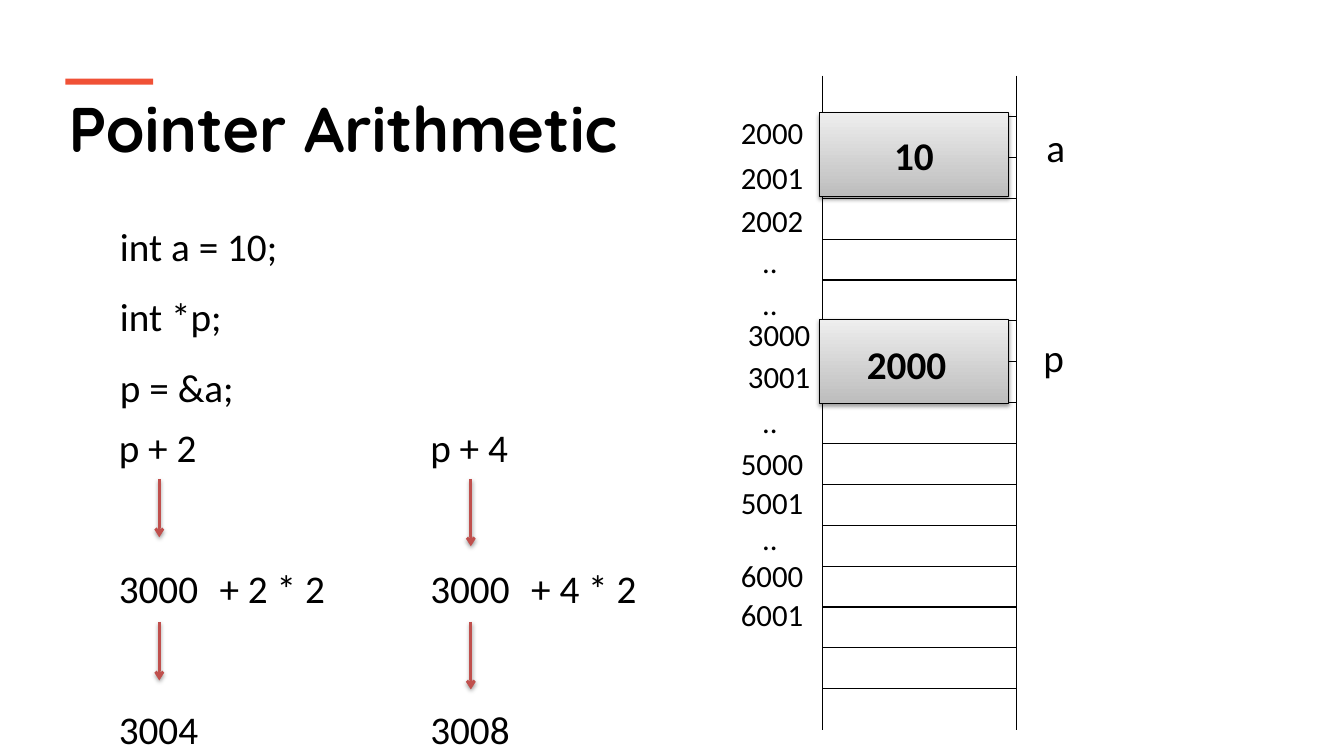
import pptx
import pptx.dml.color
import pptx.enum.shapes
import pptx.enum.text
import pptx.oxml
import pptx.oxml.ns
import pptx.util
from lxml import etree
from pptx.util import Inches

COLORS = {
    "black": "000000",
    "accent": "F05136",
    "arrow": "C0504D",
    "box_dark": "BDBDBD",
    "box_light": "EEEEEE",
}
NO_STYLE = "{2D5ABB26-0587-4C30-8999-92F81FD0307C}"
ROWS, COLUMNS = 16, 9
ADDRESSES = [
    ("2000", 1.08, 0), ("2001", 1.53, 0), ("2002", 1.95, 0),
    ("..", 2.36, 0.21), ("..", 2.78, 0.21),
    ("3000", 3.08, 0.07), ("3001", 3.5, 0.07), ("..", 3.95, 0.21),
    ("5000", 4.36, 0), ("5001", 4.75, 0), ("..", 5.11, 0.21),
    ("6000", 5.47, 0), ("6001", 5.86, 0),
]


def color(name):
    """Return the named colour."""
    return pptx.dml.color.RGBColor.from_string(COLORS[name])


def add_element(parent, tag, **attributes):
    """Append a DrawingML element and return it."""
    element = etree.SubElement(parent, pptx.oxml.ns.qn(tag))
    for key, value in attributes.items():
        element.set(key, str(value))
    return element


def add_shadow(effects):
    """Put a soft shadow below the object into an effect list."""
    shadow = add_element(effects, "a:outerShdw", blurRad=39370, dist=20000,
                         dir=5400000, rotWithShape=0)
    black = add_element(shadow, "a:srgbClr", val=COLORS["black"])
    add_element(black, "a:alpha", val=38000)


def format_runs(paragraph, size, bold=False, font="Calibri"):
    """Format every run of a paragraph."""
    for run in paragraph.runs:
        run.font.size = pptx.util.Pt(size)
        run.font.bold = bold
        run.font.name = font
        run.font.color.rgb = color("black")


def format_lines(text_frame, gap=0):
    """Set justified, widely spaced lines without bullets."""
    for index, paragraph in enumerate(text_frame.paragraphs):
        properties = paragraph._p.get_or_add_pPr()
        properties.set("marL", "0")
        properties.set("indent", "0")
        add_element(properties, "a:buNone")
        tabs = add_element(properties, "a:tabLst")
        add_element(tabs, "a:tab", pos=Inches(0.96), algn="l")
        paragraph.alignment = pptx.enum.text.PP_ALIGN.JUSTIFY
        paragraph.line_spacing = 1.5
        paragraph.space_before = pptx.util.Pt(gap if index else 0)
        format_runs(paragraph, 28)


def add_text(slide, text, left, top, width, height, size, bold=False, wrap=True):
    """Add a text box and return it."""
    shape = slide.shapes.add_textbox(Inches(left), Inches(top), Inches(width), Inches(height))
    shape.text_frame.word_wrap = wrap
    shape.text_frame.text = text
    format_runs(shape.text_frame.paragraphs[0], size, bold)
    return shape


def place_placeholder(shape, left, top, width, height, text):
    """Move a placeholder, fill it and anchor its text at the top."""
    shape.left, shape.top = Inches(left), Inches(top)
    shape.width, shape.height = Inches(width), Inches(height)
    frame = shape.text_frame
    frame.auto_size = pptx.enum.text.MSO_AUTO_SIZE.NONE
    frame.vertical_anchor = pptx.enum.text.MSO_ANCHOR.TOP
    frame.text = text
    return frame


def add_heading(slide, left, top):
    """Write the title with the accent bar above it."""
    frame = place_placeholder(slide.shapes.title, left, top, 12.18, 0.86, "Pointer Arithmetic")
    frame.paragraphs[0].alignment = pptx.enum.text.PP_ALIGN.LEFT
    format_runs(frame.paragraphs[0], 45, True, "Quicksand")
    bar = slide.shapes.add_shape(pptx.enum.shapes.MSO_SHAPE.RECTANGLE, Inches(left + 0.07),
                                 Inches(top - 0.06), Inches(0.87), Inches(0.06))
    bar.shadow.inherit = False
    bar.fill.solid()
    bar.fill.fore_color.rgb = color("accent")
    bar.line.fill.background()


def add_code(slide, left, top, width, height):
    """Write the declarations in the body placeholder."""
    frame = place_placeholder(slide.placeholders[1], left, top, width, height,
                              "int a = 10;\nint *p;\np = &a;")
    format_lines(frame)


def add_arrow(slide, x, top, length):
    """Draw a downward arrow."""
    arrow = slide.shapes.add_connector(pptx.enum.shapes.MSO_CONNECTOR.STRAIGHT, Inches(x),
                                       Inches(top), Inches(x), Inches(top + length))
    arrow.line.width = pptx.util.Pt(2)
    arrow.line.color.rgb = color("arrow")
    add_element(arrow.line._get_or_add_ln(), "a:tailEnd", type="arrow")
    add_shadow(add_element(arrow._element.spPr, "a:effectLst"))


def add_calculation(slide, left, top, offset, result, arrow_length):
    """Write one pointer sum in three steps joined by arrows."""
    steps = f"p + {offset}\n3000\t+ {offset} * 2\n{result}"
    shape = add_text(slide, steps, left, top, 2.67, 3.64, 28)
    format_lines(shape.text_frame, gap=50)
    for arrow_top in (0.83, 2.25):
        add_arrow(slide, left + 0.5, top + arrow_top, arrow_length)


def set_borders(cell, sides):
    """Draw the given sides of a cell as thin black lines and hide the others."""
    properties = cell._tc.get_or_add_tcPr()
    for side in "LRTB":
        line = add_element(properties, f"a:ln{side}", w=pptx.util.Pt(1))
        if side in sides:
            fill = add_element(line, "a:solidFill")
            add_element(fill, "a:srgbClr", val=COLORS["black"])
        else:
            add_element(line, "a:noFill")
    cell.fill.background()


def add_memory(slide, left, top, width, height):
    """Draw the memory column as a table open at both ends."""
    table = slide.shapes.add_table(ROWS, COLUMNS, Inches(left), Inches(top),
                                   Inches(width), Inches(height)).table
    table.first_row = table.horz_banding = False
    table._tbl.tblPr.find(pptx.oxml.ns.qn("a:tableStyleId")).text = NO_STYLE
    for column in table.columns:
        column.width = Inches(width / COLUMNS)
    for row_index, row in enumerate(table.rows):
        row.height = Inches(height / ROWS)
        merged = 2 <= row_index <= 5
        for column_index, cell in enumerate(row.cells):
            sides = "R" if column_index in (0, COLUMNS - 1) or merged else ""
            if column_index > 0:
                sides += "T" if row_index > 0 else ""
                sides += "B" if row_index < ROWS - 1 else ""
            if column_index == 1:
                sides += "L"
            set_borders(cell, sides)
        if merged:
            table.cell(row_index, 1).merge(table.cell(row_index, COLUMNS - 1))


def add_addresses(slide, left):
    """Write the addresses beside the memory column."""
    for address, top, shift in ADDRESSES:
        add_text(slide, address, left + shift, top, 1.08 - shift, 0.47, 22)


def add_variable_box(slide, left, top):
    """Draw the shaded box of a variable and return it."""
    box = slide.shapes.add_shape(pptx.enum.shapes.MSO_SHAPE.RECTANGLE, Inches(left),
                                 Inches(top), Inches(1.87), Inches(0.83))
    box.fill.gradient()
    box.fill.gradient_angle = 90
    for stop, name in zip(box.fill.gradient_stops, ("box_dark", "box_light")):
        stop.color.rgb = color(name)
    box.line.color.rgb = color("black")
    box.line.width = pptx.util.Pt(0.75)
    box.shadow.inherit = False
    add_shadow(box._element.spPr.find(pptx.oxml.ns.qn("a:effectLst")))
    return box


def add_variables(slide, left):
    """Place the variables a and p over the memory column."""
    box = add_variable_box(slide, left, 1.12)
    box.text_frame.text = "10"
    box.text_frame.vertical_anchor = pptx.enum.text.MSO_ANCHOR.MIDDLE
    box.text_frame.paragraphs[0].alignment = pptx.enum.text.PP_ALIGN.CENTER
    format_runs(box.text_frame.paragraphs[0], 28, True)
    add_variable_box(slide, left, 3.17)
    add_text(slide, "2000", left + 0.37, 3.33, 1, 0.57, 28, bold=True, wrap=False)
    add_text(slide, "a", left + 2.15, 1.17, 0.39, 0.57, 28, wrap=False)
    add_text(slide, "p", left + 2.12, 3.26, 0.41, 0.57, 28, wrap=False)


def main():
    """Build and save the slide."""
    presentation = pptx.Presentation()
    presentation.slide_width = Inches(13.33)
    presentation.slide_height = Inches(7.5)
    slide = presentation.slides.add_slide(presentation.slide_layouts[1])
    add_memory(slide, 7.92, 0.75, 2.16, 6.48)
    add_heading(slide, 0.58, 0.84)
    add_code(slide, 1.09, 1.92, 5.16, 2.22)
    add_addresses(slide, 7.25)
    add_variables(slide, 8.13)
    add_calculation(slide, 1.08, 3.92, 2, "3004", 0.58)
    add_calculation(slide, 4.17, 3.92, 4, "3008", 0.67)
    presentation.save("out.pptx")


if __name__ == "__main__":
    main()
